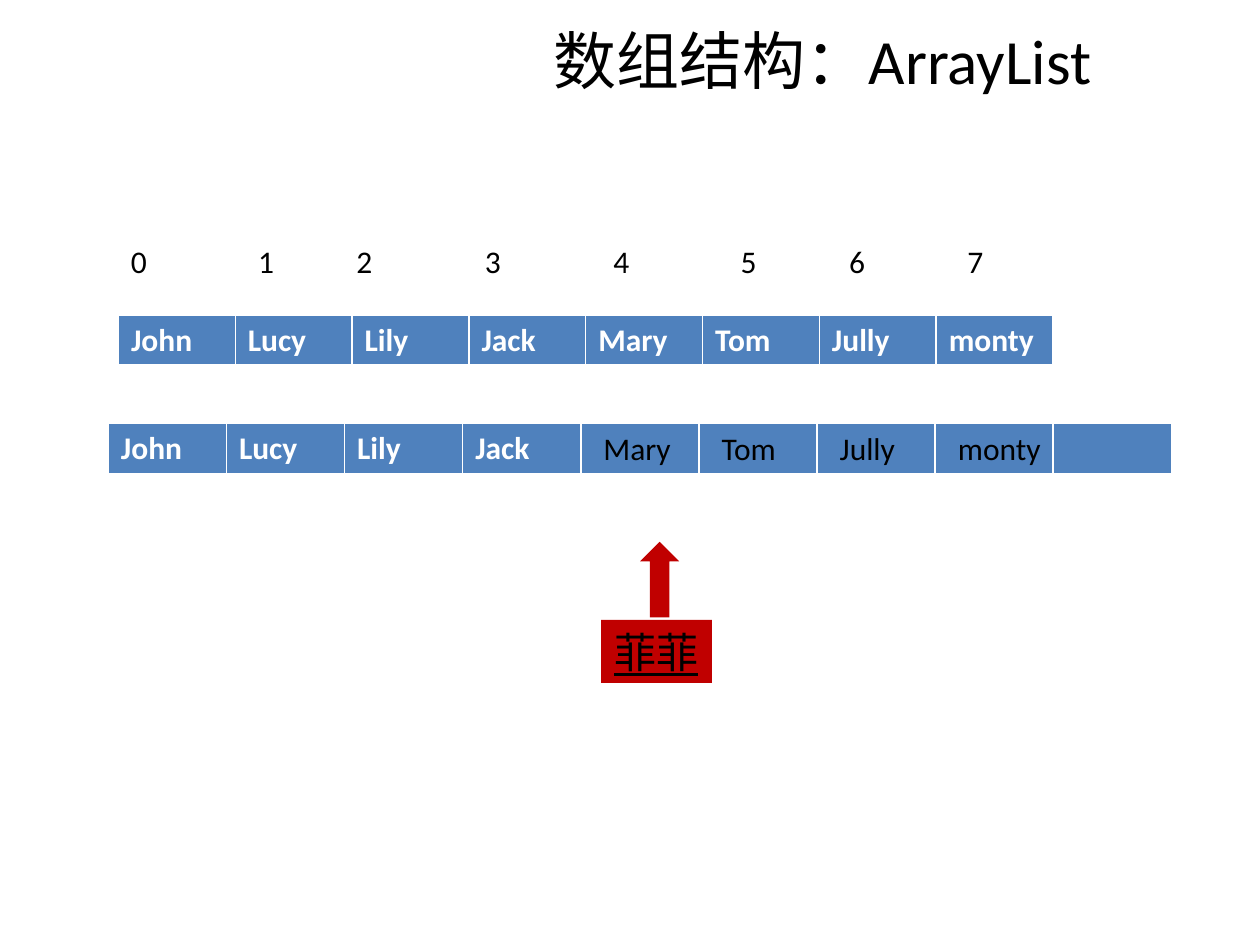
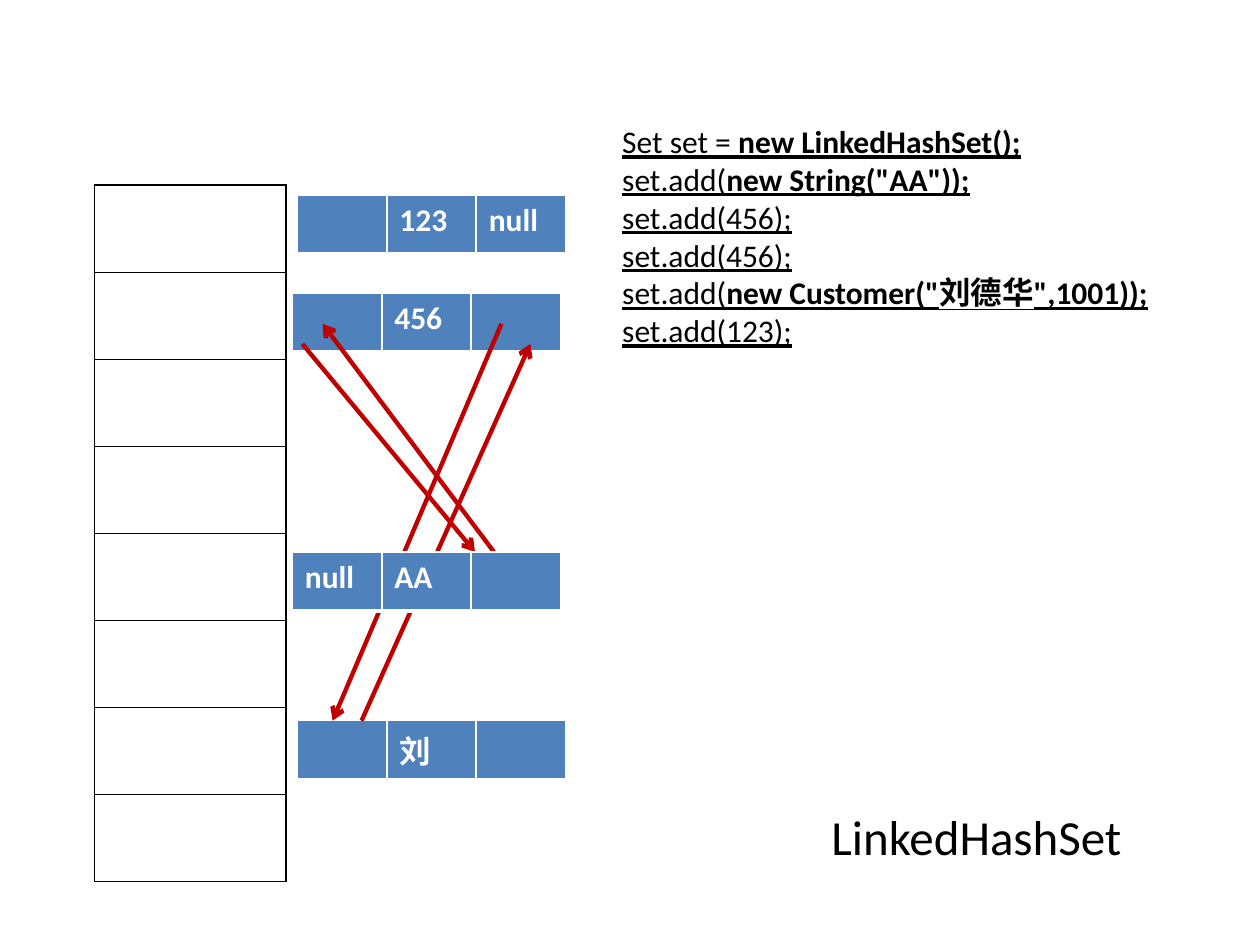
"""Build two slides on the array behind ArrayList and the links of LinkedHashSet."""
from lxml.etree import SubElement
from pptx import Presentation
from pptx.dml.color import RGBColor
from pptx.enum.shapes import MSO_CONNECTOR, MSO_SHAPE
from pptx.enum.text import MSO_ANCHOR, PP_ALIGN
from pptx.oxml import parse_xml
from pptx.oxml.ns import nsdecls, qn
from pptx.util import Inches, Pt

FONT = "Calibri"
COLORS = {"black": "000000", "white": "FFFFFF", "blue": "4F81BD", "red": "C00000"}
WHITE_EDGES = {"lnL": ("white", 1), "lnR": ("white", 1), "lnT": ("white", 1), "lnB": ("white", 3)}
BLACK_EDGES = {edge: ("black", 1) for edge in WHITE_EDGES}

ARRAY_TITLE = "数组结构：ArrayList"
NAMES = ["John", "Lucy", "Lily", "Jack", "Mary", "Tom", "Jully", "monty"]
KEPT = 4
INDEX_LEFTS = [0.94, 1.95, 2.73, 3.75, 4.77, 5.78, 6.64, 7.58]
INSERTED = "菲菲"
GROWN_LEFT, GROWN_TOP, GROWN_WIDTH = 0.86, 3.36, 8.44

SET_TITLE = "LinkedHashSet"
CODE = [
    [("Set set = ", False), ("new LinkedHashSet();", True)],
    [("set.add(", False), ('new String("AA"));', True)],
    [("set.add(456);", False)],
    [("set.add(456);", False)],
    [("set.add(", False), ('new Customer("刘德华",1001));', True)],
    [("set.add(123);", False)],
]
BUCKETS = 8
NODES_BEHIND_LINKS = [
    (2.32, 2.33, ["", "456", ""]),
    (2.36, 5.72, ["", "刘", ""]),
    (2.36, 1.55, ["", "123", "null"]),
]
NODES_OVER_LINKS = [(2.32, 4.38, ["null", "AA", ""])]
LINKS = [
    ((3.92, 4.38), (2.56, 2.57)),
    ((2.4, 2.73), (3.77, 4.38)),
    ((3.98, 2.57), (2.64, 5.72)),
    ((2.87, 5.72), (4.21, 2.73)),
]


def color(name):
    return RGBColor.from_string(COLORS[name])


def write_text(frame, content, size=18, ink="black", bold=False, underline=False,
               align=PP_ALIGN.LEFT, anchor=MSO_ANCHOR.TOP):
    lines = [[(content, bold)]] if isinstance(content, str) else content
    frame.word_wrap = True
    frame.vertical_anchor = anchor
    for number, line in enumerate(lines):
        paragraph = frame.add_paragraph() if number else frame.paragraphs[0]
        paragraph.alignment = align
        for words, heavy in line:
            run = paragraph.add_run()
            run.text = words
            run.font.name = FONT
            run.font.size = Pt(size)
            run.font.bold = heavy
            run.font.underline = underline
            run.font.color.rgb = color(ink)


def add_text(slide, content, left, top, width, height, **style):
    box = slide.shapes.add_textbox(Inches(left), Inches(top), Inches(width), Inches(height))
    write_text(box.text_frame, content, **style)


def add_shape(slide, kind, left, top, width, height):
    shape = slide.shapes.add_shape(kind, Inches(left), Inches(top), Inches(width), Inches(height))
    shape.shadow.inherit = False
    shape.fill.solid()
    shape.fill.fore_color.rgb = color("red")
    shape.line.fill.background()
    return shape


def add_edges(cell, edges):
    properties = cell._tc.get_or_add_tcPr()
    for position, (edge, (ink, points)) in enumerate(edges.items()):
        properties.insert(position, parse_xml(
            f'<a:{edge} {nsdecls("a")} w="{Pt(points)}"><a:solidFill>'
            f'<a:srgbClr val="{COLORS[ink]}"/></a:solidFill></a:{edge}>'))


def add_cells(slide, rows, left, top, width, height, fill="blue", edges=WHITE_EDGES):
    table = slide.shapes.add_table(
        len(rows), len(rows[0]), Inches(left), Inches(top), Inches(width), Inches(height)).table
    table.first_row = table.horz_banding = False
    for row, words in zip(table.rows, rows):
        for cell, word in zip(row.cells, words):
            cell.fill.solid()
            cell.fill.fore_color.rgb = color(fill)
            add_edges(cell, edges)
            if word:
                write_text(cell.text_frame, word, ink="white", bold=True)


def add_nodes(slide, nodes):
    for left, top, parts in nodes:
        add_cells(slide, [parts], left, top, 2.13, 0.47)


def add_link(slide, start, end):
    link = slide.shapes.add_connector(
        MSO_CONNECTOR.STRAIGHT, *(Inches(value) for value in start + end))
    link.line.color.rgb = color("red")
    link.line.width = Pt(2.5)
    SubElement(link.line._get_or_add_ln(), qn("a:tailEnd"), type="arrow")
    SubElement(link._element.spPr, qn("a:effectLst"))


def build_array(slide):
    add_text(slide, ARRAY_TITLE, 2.03, 0, 9, 0.94, size=36,
             align=PP_ALIGN.CENTER, anchor=MSO_ANCHOR.MIDDLE)
    add_cells(slide, [NAMES], 0.94, 2.5, 7.42, 0.41)
    for index, left in enumerate(INDEX_LEFTS):
        add_text(slide, str(index), left, 1.87, 0.7, 0.4)
    label = add_shape(slide, MSO_SHAPE.RECTANGLE, 4.77, 4.92, 0.88, 0.5)
    write_text(label.text_frame, INSERTED, size=24, underline=True,
               align=PP_ALIGN.CENTER, anchor=MSO_ANCHOR.MIDDLE)
    add_shape(slide, MSO_SHAPE.DOWN_ARROW, 5.08, 4.3, 0.31, 0.6).rotation = 180
    grown = NAMES[:KEPT] + [""] * (len(NAMES) + 1 - KEPT)
    add_cells(slide, [grown], GROWN_LEFT, GROWN_TOP, GROWN_WIDTH, 0.41)
    for index, name in enumerate(NAMES[KEPT:], KEPT):
        left = GROWN_LEFT + 0.08 + index * GROWN_WIDTH / len(grown)
        add_text(slide, name, left, GROWN_TOP, 0.86, 0.4)


def build_set(slide):
    add_text(slide, CODE, 4.84, 0.92, 5, 1.92, underline=True)
    add_cells(slide, [[""]] * BUCKETS, 0.75, 1.47, 1.52, 5.53, fill="white", edges=BLACK_EDGES)
    add_nodes(slide, NODES_BEHIND_LINKS)
    add_text(slide, SET_TITLE, 6.5, 6.35, 2.68, 0.57, size=28)
    for start, end in LINKS:
        add_link(slide, start, end)
    add_nodes(slide, NODES_OVER_LINKS)


presentation = Presentation()
presentation.slide_width, presentation.slide_height = Inches(10), Inches(7.5)
for build in (build_array, build_set):
    build(presentation.slides.add_slide(presentation.slide_layouts[6]))
presentation.save("out.pptx")
